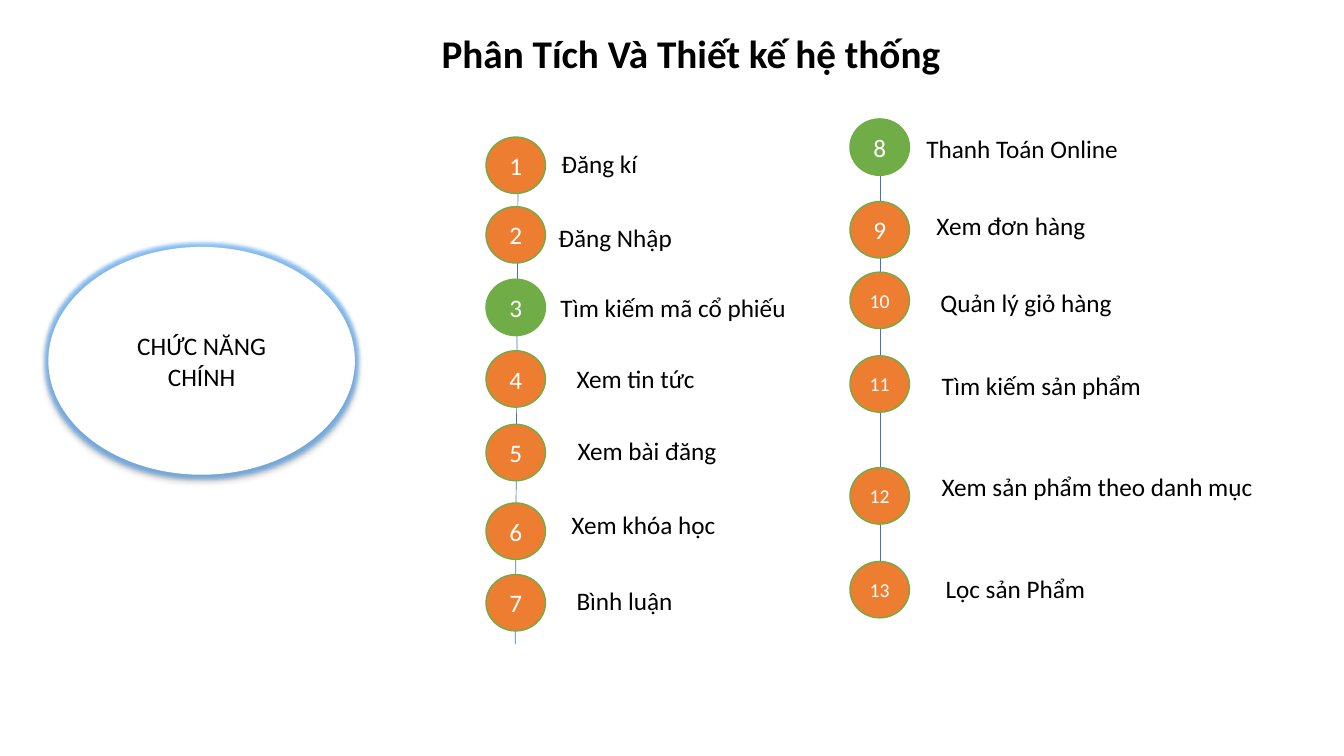
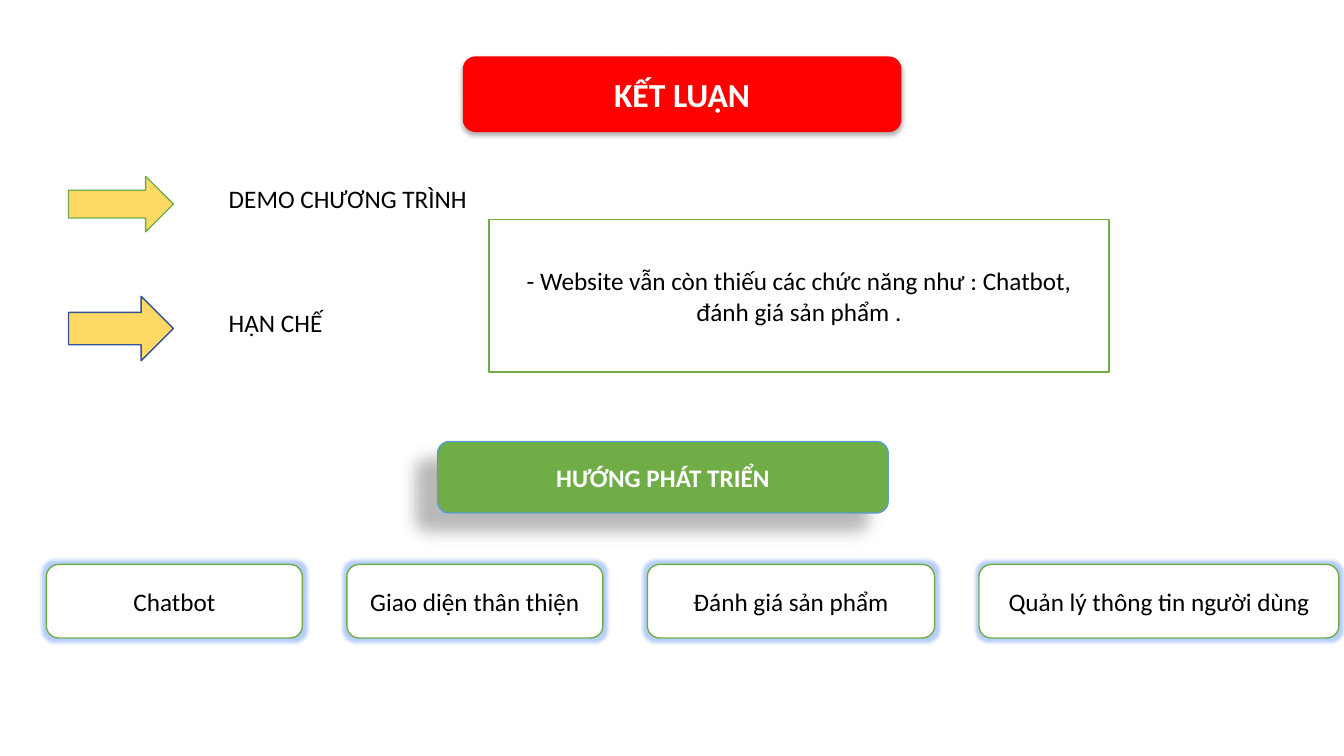
import dataclasses

import lxml.etree
import pptx
import pptx.dml.color
import pptx.enum.shapes
import pptx.enum.text
import pptx.oxml.ns
import pptx.util

Inches = pptx.util.Inches
Pt = pptx.util.Pt
SHAPE = pptx.enum.shapes.MSO_SHAPE
ALIGN = pptx.enum.text.PP_ALIGN
ANCHOR = pptx.enum.text.MSO_ANCHOR
qn = pptx.oxml.ns.qn


@dataclasses.dataclass(frozen=True)
class Theme:
    font: str = "Calibri"
    black: str = "000000"
    white: str = "FFFFFF"
    orange: str = "ED7D31"
    green: str = "70AD47"
    red: str = "FF0000"
    yellow: str = "FFD966"
    blue: str = "4472C4"
    light_blue: str = "5B9BD5"
    dark_blue: str = "325491"
    oval_glow: str = "4DA3F5"
    box_glow: str = "4A86F7"
    title: int = 28
    banner: int = 24
    body: int = 18
    small: int = 14


THEME = Theme()

SOFT_SHADOW = dict(alpha=32, blur=3.5, distance=2.2, angle=90)
DEEP_SHADOW = dict(alpha=28, blur=11.8, distance=19.7, angle=141)

FEATURES_TITLE = "Phân Tích Và Thiết kế hệ thống"
FEATURES_HUB = "CHỨC NĂNG CHÍNH"
HIGHLIGHTED = {3, 8}
BADGE_SIZE = (0.59, 0.56)

FEATURE_COLUMNS = [
    dict(
        first=1, left=4.82, label_width=2.6, line=(5.14, 1.46, 5.11, 6.39),
        rows=[
            ("Đăng kí", 1.36, 5.47, 1.42),
            ("Đăng Nhập", 2.05, 5.44, 2.16),
            ("Tìm kiếm mã cổ phiếu", 2.77, 5.46, 2.85),
            ("Xem tin tức", 3.48, 5.62, 3.56),
            ("Xem bài đăng", 4.21, 5.63, 4.27),
            ("Xem khóa học", 4.99, 5.57, 5),
            ("Bình luận", 5.7, 5.62, 5.76),
        ],
    ),
    dict(
        first=8, left=8.43, label_width=3.6, line=(8.73, 1.25, 8.73, 5.76),
        rows=[
            ("Thanh Toán Online", 1.18, 9.09, 1.27),
            ("Xem đơn hàng", 2, 9.19, 2.04),
            ("Quản lý giỏ hàng", 2.7, 9.23, 2.8),
            ("Tìm kiếm sản phẩm", 3.53, 9.24, 3.62),
            ("Xem sản phẩm theo danh mục", 4.64, 9.24, 4.63),
            ("Lọc sản Phẩm", 5.57, 9.28, 5.64),
        ],
    ),
]

CONCLUSION_TITLE = "KẾT LUẬN"
CONCLUSION_BANNER = (4.59, 0.56, 4.35, 0.75)
CONCLUSION_POINTS = [
    ("DEMO CHƯƠNG TRÌNH", 1.77, 1.75, 0.55, THEME.green),
    ("HẠN CHẾ", 3, 2.94, 0.64, THEME.dark_blue),
]
LIMITATION = "- Website vẫn còn thiếu các chức năng như : Chatbot, đánh giá sản phẩm ."
DIRECTION_HEADING = "HƯỚNG PHÁT TRIỂN"
DIRECTIONS = [
    ("Chatbot", 2.54),
    ("Giao diện thân thiện", 2.54),
    ("Đánh giá sản phẩm", 2.85),
    ("Quản lý thông tin người dùng", 3.57),
]
DIRECTION_LEFT = 0.46
DIRECTION_GAP = 0.44


def rgb(color):
    return pptx.dml.color.RGBColor.from_string(color)


def write_text(shape, text, size=THEME.body, color=THEME.black, bold=False,
               align=ALIGN.CENTER, anchor=ANCHOR.MIDDLE):
    frame = shape.text_frame
    frame.word_wrap = True
    frame.auto_size = pptx.enum.text.MSO_AUTO_SIZE.NONE
    frame.vertical_anchor = anchor
    paragraph = frame.paragraphs[0]
    paragraph.alignment = align
    paragraph.line_spacing = 1.0
    paragraph.space_before = Pt(0)
    run = paragraph.add_run()
    run.text = text
    run.font.name = THEME.font
    run.font.size = Pt(size)
    run.font.bold = bold
    run.font.color.rgb = rgb(color)


def add_color(effect, color, alpha):
    node = lxml.etree.SubElement(effect, qn("a:srgbClr"), val=color)
    lxml.etree.SubElement(node, qn("a:alpha"), val=str(alpha * 1000))


def add_effects(shape, glow, shadow):
    effects = shape.element.spPr.find(qn("a:effectLst"))
    if glow:
        color, alpha, radius = glow
        effect = lxml.etree.SubElement(effects, qn("a:glow"), rad=str(Pt(radius)))
        add_color(effect, color, alpha)
    if shadow:
        effect = lxml.etree.SubElement(
            effects, qn("a:outerShdw"), blurRad=str(Pt(shadow["blur"])),
            dist=str(Pt(shadow["distance"])), dir=str(shadow["angle"] * 60000),
            algn="ctr", rotWithShape="0")
        add_color(effect, THEME.black, shadow["alpha"])


def add_shape(slide, kind, box, fill, line=None, text=None, glow=None,
              shadow=None, **text_format):
    shape = slide.shapes.add_shape(kind, *map(Inches, box))
    shape.shadow.inherit = False
    add_effects(shape, glow, shadow)
    shape.fill.solid()
    shape.fill.fore_color.rgb = rgb(fill)
    if line:
        shape.line.color.rgb = rgb(line)
        shape.line.width = Pt(1)
    else:
        shape.line.fill.background()
    if text:
        write_text(shape, text, **text_format)
    return shape


def add_label(slide, text, left, top, width):
    label = slide.shapes.add_textbox(*map(Inches, (left, top, width, 0.4)))
    write_text(label, text, align=ALIGN.LEFT, anchor=ANCHOR.TOP)


def add_line(slide, ends):
    connector = slide.shapes.add_connector(
        pptx.enum.shapes.MSO_CONNECTOR.STRAIGHT, *map(Inches, ends))
    connector.line.color.rgb = rgb(THEME.blue)
    connector.line.width = Pt(0.5)
    lxml.etree.SubElement(connector.element.spPr, qn("a:effectLst"))


def add_titled_slide(presentation, text, box, **text_format):
    slide = presentation.slides.add_slide(presentation.slide_layouts[5])
    title = slide.shapes.title
    title.left, title.top, title.width, title.height = map(Inches, box)
    write_text(title, text, bold=True, **text_format)
    return slide


def build_features(presentation):
    slide = add_titled_slide(presentation, FEATURES_TITLE, (4.28, 0.24, 5.62, 0.57),
                             size=THEME.title, align=ALIGN.LEFT)
    for column in FEATURE_COLUMNS:
        add_line(slide, column["line"])
        for number, row in enumerate(column["rows"], column["first"]):
            text, badge_top, label_left, label_top = row
            add_shape(slide, SHAPE.OVAL, (column["left"], badge_top, *BADGE_SIZE),
                      THEME.green if number in HIGHLIGHTED else THEME.orange,
                      line=THEME.green, text=str(number), color=THEME.white,
                      size=THEME.body if number < 10 else THEME.small)
            add_label(slide, text, label_left, label_top, column["label_width"])
    add_shape(slide, SHAPE.OVAL, (0.48, 2.45, 3.04, 2.26), THEME.white,
              text=FEATURES_HUB, glow=(THEME.oval_glow, 60, 5), shadow=SOFT_SHADOW)


def build_conclusion(presentation):
    slide = add_titled_slide(presentation, CONCLUSION_TITLE, CONCLUSION_BANNER,
                             size=THEME.banner, color=THEME.white)
    banner = add_shape(slide, SHAPE.ROUNDED_RECTANGLE, CONCLUSION_BANNER, THEME.red,
                       shadow=SOFT_SHADOW)
    banner.element.addnext(slide.shapes.title.element)
    for text, label_top, arrow_top, arrow_height, outline in CONCLUSION_POINTS:
        add_shape(slide, SHAPE.RIGHT_ARROW, (0.68, arrow_top, 1.04, arrow_height),
                  THEME.yellow, line=outline)
        add_label(slide, text, 2.17, label_top, 2.68)
    add_shape(slide, SHAPE.RECTANGLE, (4.85, 2.18, 6.15, 1.51), THEME.white,
              line=THEME.green, text=LIMITATION)
    add_shape(slide, SHAPE.ROUNDED_RECTANGLE, (4.34, 4.38, 4.47, 0.71), THEME.green,
              line=THEME.light_blue, text=DIRECTION_HEADING, color=THEME.white,
              bold=True, shadow=DEEP_SHADOW)
    left = DIRECTION_LEFT
    for text, width in DIRECTIONS:
        add_shape(slide, SHAPE.ROUNDED_RECTANGLE, (left, 5.6, width, 0.73), THEME.white,
                  line=THEME.green, text=text, glow=(THEME.box_glow, 40, 5))
        left += width + DIRECTION_GAP


def main():
    presentation = pptx.Presentation()
    presentation.slide_width = Inches(13.33)
    presentation.slide_height = Inches(7.5)
    build_features(presentation)
    build_conclusion(presentation)
    presentation.save("out.pptx")


if __name__ == "__main__":
    main()
